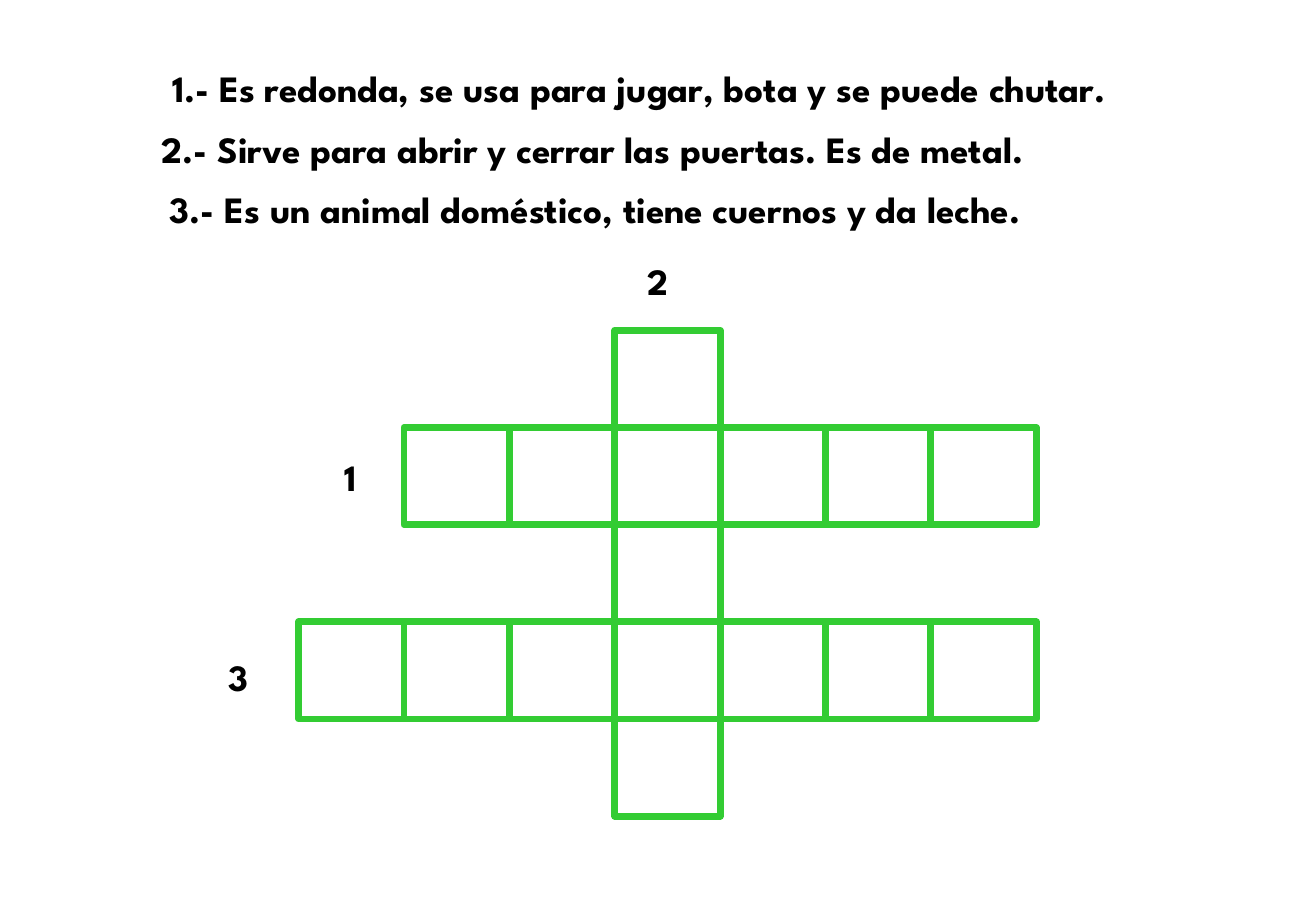
import pptx
import pptx.dml.color
import pptx.enum.shapes
import pptx.enum.text
import pptx.util

PX = 914400 / 250
BLACK = pptx.dml.color.RGBColor(0x00, 0x00, 0x00)
GREEN = pptx.dml.color.RGBColor(0x33, 0xCC, 0x33)
FONT = "League Spartan"

CELL_W, CELL_H = 217, 200
GRID_LEFT, GRID_TOP = 615, 680
TEXT_H = 118
CLUE_TOP, CLUE_STEP = 122, 125
NUMBER_W = 92

CLUES = [
    ("1.- Es redonda, se usa para jugar, bota y se puede chutar.", 330, 2208),
    ("2.- Sirve para abrir y cerrar las puertas. Es de metal.", 308, 2008),
    ("3.- Es un animal doméstico, tiene cuernos y da leche.", 325, 2042),
]
NUMBERS = [("1", 685, 922), ("2", 1308, 520), ("3", 445, 1335)]
BALL = {(1, col) for col in range(1, 7)}
KEY = {(row, 3) for row in range(5)}
COW = {(3, col) for col in range(7)}


def px(n):
    return pptx.util.Emu(round(n * PX))


def add_text(shapes, text, left, top, width):
    sp = shapes.add_textbox(px(left), px(top), px(width), px(TEXT_H))
    tf = sp.text_frame
    tf.word_wrap = False
    tf.auto_size = pptx.enum.text.MSO_AUTO_SIZE.SHAPE_TO_FIT_TEXT
    r = tf.paragraphs[0].add_run()
    r.text = text
    r.font.name = FONT
    r.font.size = pptx.util.Pt(22)
    r.font.bold = True
    r.font.color.rgb = BLACK


def add_cell(shapes, row, col):
    sp = shapes.add_shape(
        pptx.enum.shapes.MSO_SHAPE.RECTANGLE,
        px(GRID_LEFT + col * CELL_W), px(GRID_TOP + row * CELL_H),
        px(CELL_W), px(CELL_H))
    sp.shadow.inherit = False
    sp.fill.background()
    sp.line.color.rgb = GREEN
    sp.line.width = pptx.util.Pt(4)


def main():
    """Build the crossword slide with its three clues."""
    prs = pptx.Presentation()
    prs.slide_width, prs.slide_height = px(2710), px(1875)
    s = prs.slides.add_slide(prs.slide_layouts[6])
    for i, (text, left, width) in enumerate(CLUES):
        add_text(s.shapes, text, left, CLUE_TOP + i * CLUE_STEP, width)
    crossword = s.shapes.add_group_shape()
    for row, col in sorted(BALL | KEY | COW):
        add_cell(crossword.shapes, row, col)
    for number, left, top in NUMBERS:
        add_text(crossword.shapes, number, left, top, NUMBER_W)
    prs.save("out.pptx")


if __name__ == "__main__":
    main()
